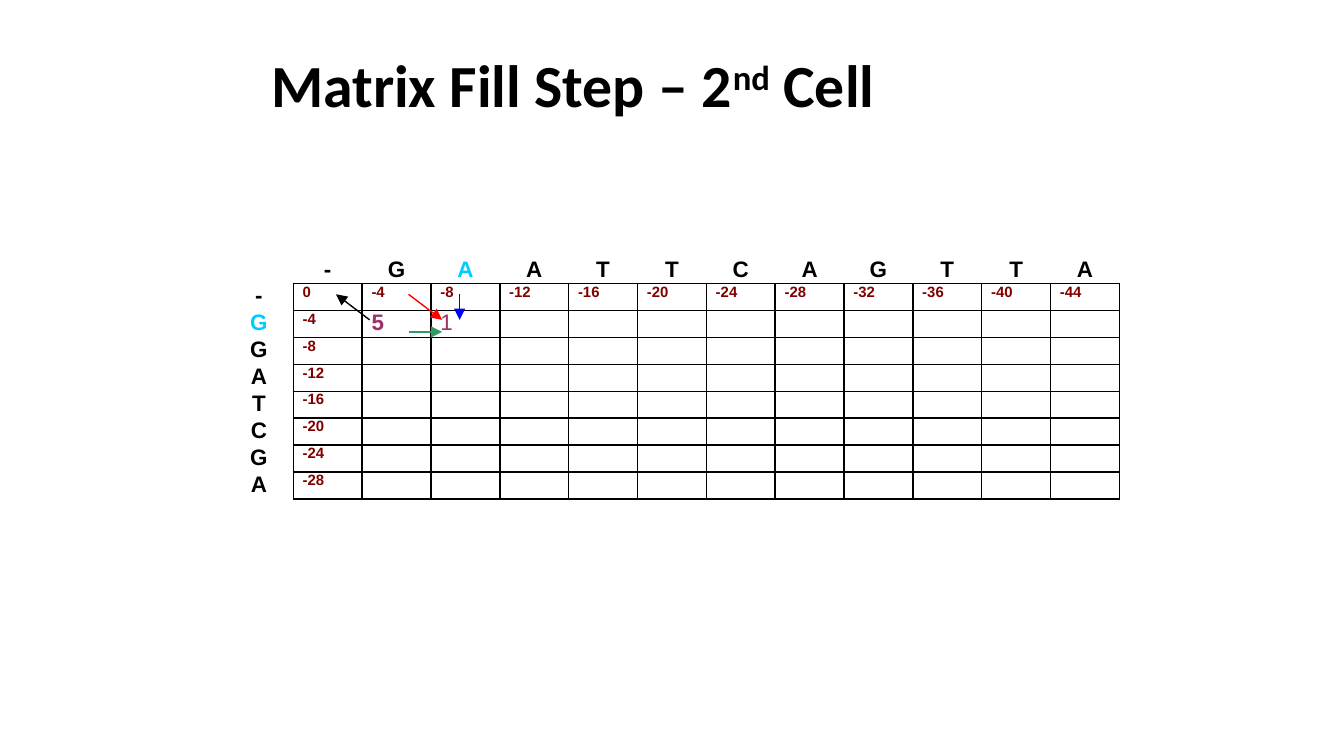
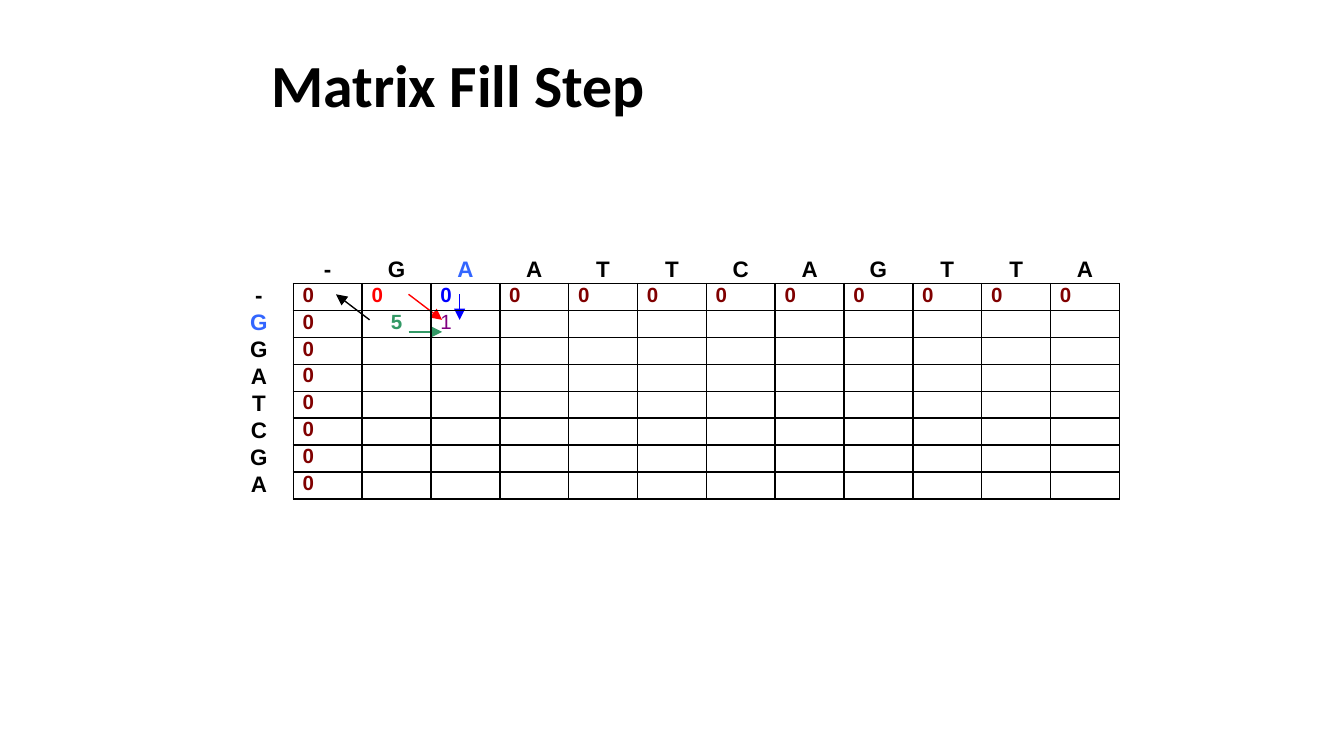
from collections import namedtuple

from lxml.etree import SubElement
from pptx import Presentation
from pptx.dml.color import RGBColor
from pptx.enum.shapes import MSO_CONNECTOR
from pptx.enum.text import MSO_ANCHOR, MSO_AUTO_SIZE, PP_ALIGN
from pptx.oxml.ns import qn
from pptx.util import Inches, Pt

BLACK = RGBColor(0x00, 0x00, 0x00)
MAROON = RGBColor(0x80, 0x00, 0x00)
RED = RGBColor(0xFF, 0x00, 0x00)
BLUE = RGBColor(0x00, 0x00, 0xFF)
GREEN = RGBColor(0x33, 0x99, 0x66)
PLUM = RGBColor(0x99, 0x33, 0x66)
PURPLE = RGBColor(0x80, 0x00, 0x80)
CYAN = RGBColor(0x00, 0xCC, 0xFF)
AZURE = RGBColor(0x33, 0x66, 0xFF)

TITLE_FONT = "Calibri"
MATRIX_FONT = "Arial"
TOP_SEQUENCE = "-GAATTCAGTTA"
SIDE_SEQUENCE = "-GGATCGA"

Box = namedtuple("Box", "left top width height")
Entry = namedtuple("Entry", "text size color bold align", defaults=(True, PP_ALIGN.LEFT))

TITLE_BOX = Box(Inches(1.92), Inches(0.31), Inches(5.42), Inches(0.64))
MATRIX_BOX = Box(Inches(1.67), Inches(1.91), Inches(6.66), Inches(1.8))
SOURCE_ARROWS = (
    ((1.75, 0.28), (1.75, 0.47), BLUE),
    ((1.37, 0.56), (1.62, 0.56), GREEN),
    ((1.37, 0.28), (1.62, 0.47), RED),
)
TRACEBACK_ARROW = ((1.08, 0.47), (0.83, 0.28), BLACK)


def add_run(paragraph, text, font_name, size, color, bold=True):
    """Append one formatted run and return it."""
    run = paragraph.add_run()
    run.text = text
    run.font.name = font_name
    run.font.size = Pt(size)
    run.font.bold = bold
    run.font.color.rgb = color
    return run


def add_title(slide, box, parts):
    """Add the title from (text, is_superscript) parts."""
    frame = slide.shapes.add_textbox(*box).text_frame
    frame.word_wrap = True
    frame.auto_size = MSO_AUTO_SIZE.SHAPE_TO_FIT_TEXT
    for text, is_superscript in parts:
        run = add_run(frame.paragraphs[0], text, TITLE_FONT, 32, BLACK)
        if is_superscript:
            run.font._element.set("baseline", "30000")


def add_arrow(shapes, box, start, end, color):
    """Add an arrow whose ends are measured in inches from the box corner."""
    points = [origin + Inches(offset) for point in (start, end)
              for origin, offset in zip(box[:2], point)]
    connector = shapes.add_connector(MSO_CONNECTOR.STRAIGHT, *points)
    connector.line.color.rgb = color
    connector.line.width = Pt(0.75)
    SubElement(connector.line._get_or_add_ln(), qn("a:tailEnd"), type="triangle")
    SubElement(connector._element.spPr, qn("a:effectLst"))


def add_arrows(slide, box):
    """Add the three grouped source arrows and the traceback arrow."""
    group = slide.shapes.add_group_shape()
    for arrow in SOURCE_ARROWS:
        add_arrow(group.shapes, box, *arrow)
    add_arrow(slide.shapes, box, *TRACEBACK_ARROW)


def set_borders(cell, row, column):
    """Draw the borders of the score grid and none around the letters."""
    is_score = row > 0 and column > 0
    edges = {"L": is_score, "R": row > 0, "T": is_score, "B": column > 0}
    properties = cell._tc.get_or_add_tcPr()
    for edge, is_drawn in edges.items():
        line = SubElement(properties, qn(f"a:ln{edge}"), w=str(Pt(1)))
        if is_drawn:
            fill = SubElement(line, qn("a:solidFill"))
            SubElement(fill, qn("a:srgbClr"), val=str(BLACK))
        else:
            SubElement(line, qn("a:noFill"))


def fill_cell(cell, row, column, entry):
    """Format one cell and write its entry, if any."""
    cell.margin_left = cell.margin_right = Inches(0.07)
    cell.margin_top = cell.margin_bottom = 0
    cell.vertical_anchor = MSO_ANCHOR.TOP
    set_borders(cell, row, column)
    cell.fill.background()
    paragraph = cell.text_frame.paragraphs[0]
    if entry:
        paragraph.alignment = entry.align
        add_run(paragraph, entry.text, MATRIX_FONT, entry.size, entry.color, entry.bold)
    else:
        SubElement(paragraph._p, qn("a:endParaRPr"), sz="1200")


def build_entries(gap, score_size, highlight, special):
    """Map (row, column) to entries for letters, gap scores and special cells."""
    entries = {}
    for column, letter in enumerate(TOP_SEQUENCE, 1):
        color = highlight if column == 3 else BLACK
        entries[0, column] = Entry(letter, 12, color, align=PP_ALIGN.CENTER)
        entries[1, column] = Entry(str(gap * (column - 1)), score_size, MAROON)
    for row, letter in enumerate(SIDE_SEQUENCE, 1):
        color = highlight if row == 2 else BLACK
        entries[row, 0] = Entry(letter, 12, color, align=PP_ALIGN.CENTER)
        entries[row, 1] = Entry(str(gap * (row - 1)), score_size, MAROON)
    return entries | special


def add_matrix(slide, box, entries):
    """Add the scoring matrix with equal rows and columns."""
    rows, columns = len(SIDE_SEQUENCE) + 1, len(TOP_SEQUENCE) + 1
    table = slide.shapes.add_table(rows, columns, *box).table
    table.first_row = table.horz_banding = False
    for column in table.columns:
        column.width = box.width // columns
    for row in table.rows:
        row.height = box.height // rows
    for row in range(rows):
        for column in range(columns):
            fill_cell(table.cell(row, column), row, column, entries.get((row, column)))


def add_second_cell_slide(presentation):
    """Add the slide with gap penalties, arrows over the matrix."""
    slide = presentation.slides.add_slide(presentation.slide_layouts[6])
    add_title(slide, TITLE_BOX,
              (("Matrix Fill Step – 2", False), ("nd", True), (" Cell", False)))
    special = {(2, 2): Entry("5", 12, PLUM), (2, 3): Entry("1", 12, PLUM, False)}
    add_matrix(slide, MATRIX_BOX, build_entries(-4, 8, CYAN, special))
    add_arrows(slide, MATRIX_BOX)


def add_zero_gap_slide(presentation):
    """Add the slide with zero borders, arrows under the matrix."""
    slide = presentation.slides.add_slide(presentation.slide_layouts[6])
    add_title(slide, TITLE_BOX, (("Matrix Fill Step", False),))
    add_arrows(slide, MATRIX_BOX)
    special = {
        (1, 2): Entry("0", 11, RED),
        (1, 3): Entry("0", 11, BLUE),
        (2, 2): Entry("5", 11, GREEN, align=PP_ALIGN.CENTER),
        (2, 3): Entry("1", 11, PURPLE, False),
    }
    add_matrix(slide, MATRIX_BOX, build_entries(0, 11, AZURE, special))


def main():
    """Build and save the presentation."""
    presentation = Presentation()
    presentation.slide_width = Inches(10)
    presentation.slide_height = presentation.slide_width * 9 // 16
    add_second_cell_slide(presentation)
    add_zero_gap_slide(presentation)
    presentation.save("out.pptx")


if __name__ == "__main__":
    main()
